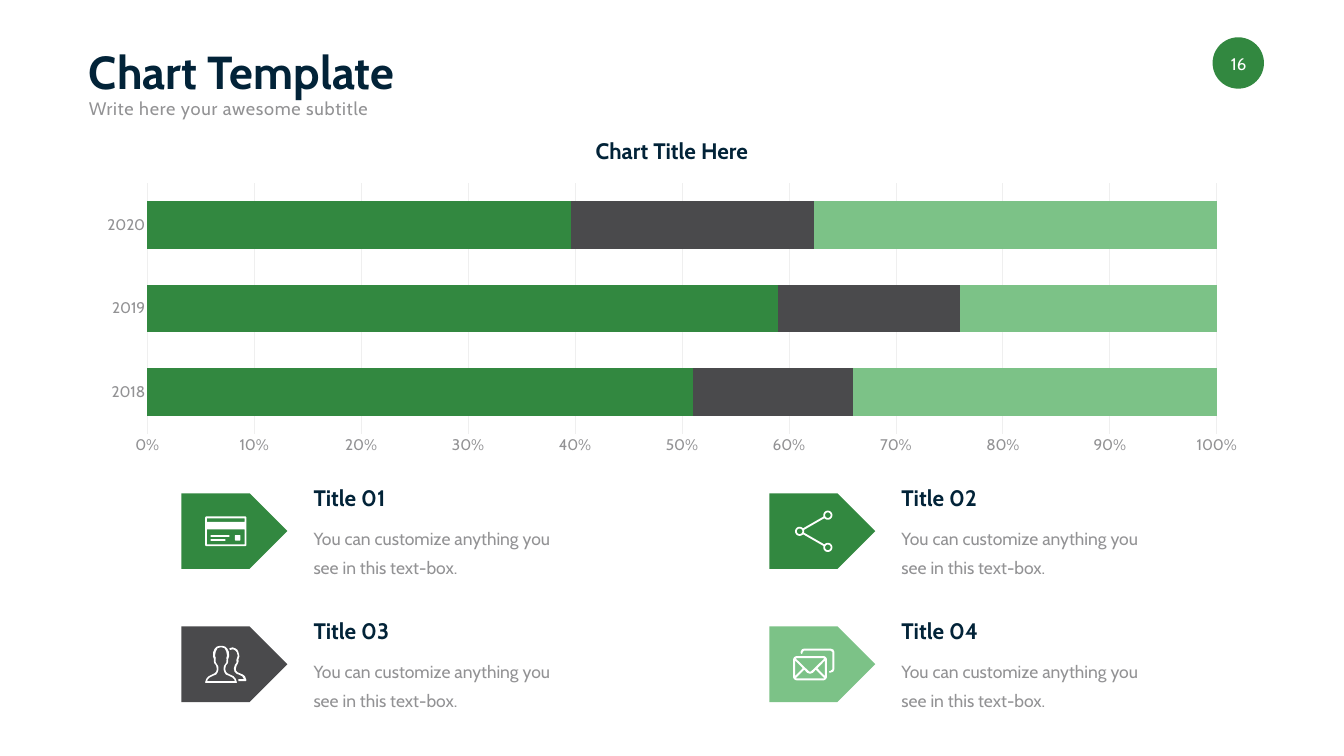
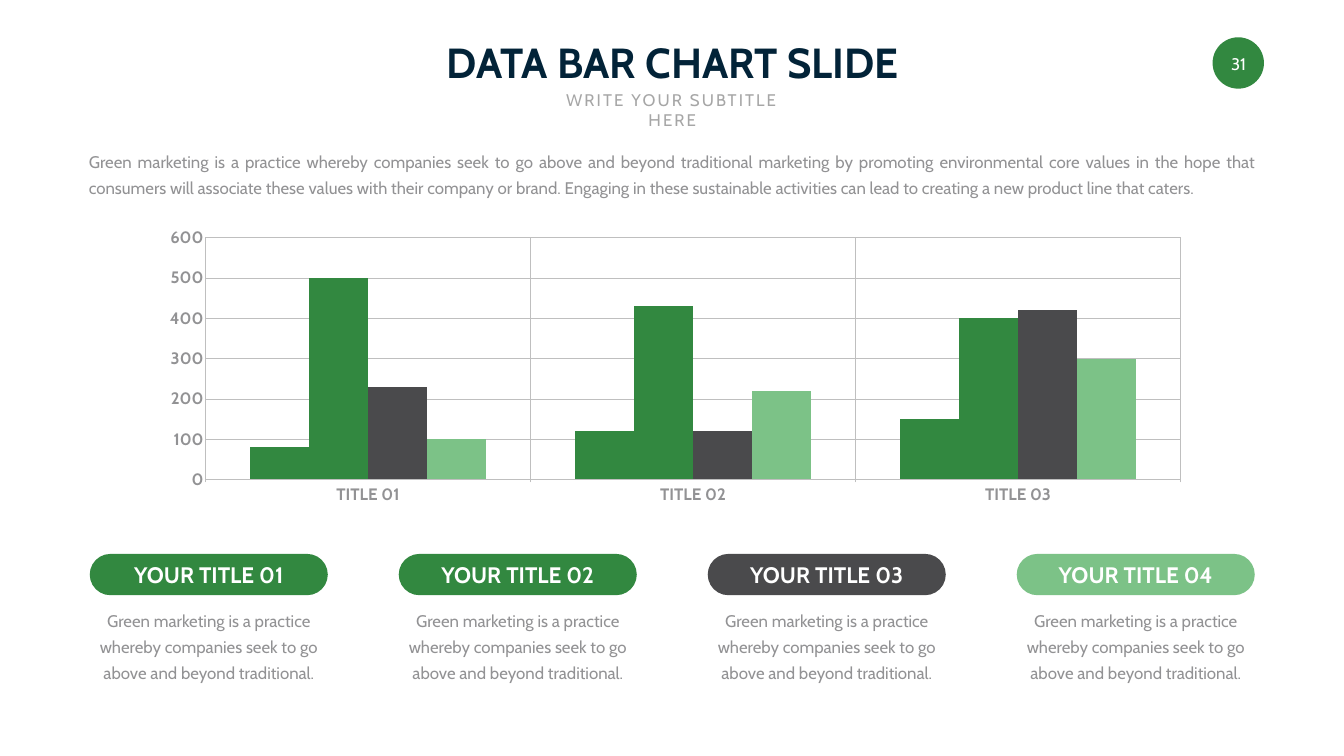
from math import cos, pi, sin

from lxml import etree
from pptx import Presentation
from pptx.chart.data import CategoryChartData
from pptx.dml.color import RGBColor
from pptx.enum.chart import XL_CHART_TYPE, XL_TICK_MARK
from pptx.enum.shapes import MSO_SHAPE
from pptx.enum.text import MSO_ANCHOR, MSO_AUTO_SIZE, PP_ALIGN
from pptx.oxml.ns import qn
from pptx.util import Pt

LEFT, CENTER, JUSTIFY = PP_ALIGN.LEFT, PP_ALIGN.CENTER, PP_ALIGN.JUSTIFY
TOP, MIDDLE, BOTTOM = MSO_ANCHOR.TOP, MSO_ANCHOR.MIDDLE, MSO_ANCHOR.BOTTOM
NO_FIT = MSO_AUTO_SIZE.NONE
ELLIPSE, PILL, ARROW = MSO_SHAPE.OVAL, MSO_SHAPE.ROUNDED_RECTANGLE, MSO_SHAPE.PENTAGON
BAR, COLUMN = XL_CHART_TYPE.BAR_STACKED_100, XL_CHART_TYPE.COLUMN_CLUSTERED
TICK_NONE, TICK_OUT = XL_TICK_MARK.NONE, XL_TICK_MARK.OUTSIDE

# Shared look
FONT = "Cabin"
NAVY, GREY, SUBTLE, WHITE = "022338", "929294", "A6A6A6", "FFFFFF"
GREEN, DARK, LIGHT = "328840", "4A4A4C", "7CC287"
GRID_PALE, GRID_GREY = "EFEFEF", "BFBFBF"
SERIES_COLORS = [GREEN, GREEN, DARK, LIGHT]
SLIDE_W, SLIDE_H = 1919.52, 1080
MARGIN, CONTENT_W = 119.8, 1680

HEADING = dict(size=32, bold=True, color=NAVY)
BODY = dict(size=24, color=GREY)


def rgb(hex_color):
    return RGBColor.from_string(hex_color)


def pts(*values):
    return [Pt(v) for v in values]


def set_font(font, size, color, bold=False):
    for name, value in dict(name=FONT, size=Pt(size), bold=bold).items():
        setattr(font, name, value)
    font.color.rgb = rgb(color)


def write(sp, text, style, align=LEFT, anchor=TOP, leading=None, spacing=None, insets=None):
    tf = sp.text_frame
    frame = dict(word_wrap=True, auto_size=NO_FIT, vertical_anchor=anchor)
    sides = ("margin_left", "margin_top", "margin_right", "margin_bottom")
    frame.update(zip(sides, pts(*(insets or (7.2, 3.6, 7.2, 3.6)))))
    for name, value in frame.items():
        setattr(tf, name, value)
    p = tf.paragraphs[0]
    p.alignment = align
    if leading:
        p.line_spacing = Pt(leading)
    r = p.add_run()
    r.text = text
    set_font(r.font, **style)
    if spacing:
        r.font._element.set("spc", str(spacing * 100))


def add_text(slide, box, text, style, **layout):
    write(slide.shapes.add_textbox(*pts(*box)), text, style, **layout)


def paint(sp, color):
    sp.shadow.inherit = False
    sp.fill.solid()
    sp.fill.fore_color.rgb = rgb(color)
    sp.line.fill.background()
    return sp


def add_block(slide, kind, box, color):
    return paint(slide.shapes.add_shape(kind, *pts(*box)), color)


def new_slide(prs, number, title, box, size, **layout):
    """Slide with its title and the round page number."""
    slide = prs.slides.add_slide(prs.slide_layouts[5])
    badge = add_block(slide, ELLIPSE, (1731.8, 53.3, 73.4, 73.4), GREEN)
    write(badge, number, dict(size=24, color=WHITE), align=CENTER, anchor=MIDDLE,
          insets=(1, 1.5, 0, 0))
    sp = slide.shapes.title
    sp.left, sp.top, sp.width, sp.height = pts(*box)
    write(sp, title, dict(size=size, bold=True, color=NAVY), **layout)
    return slide


# Icons: outlines in points, where an outline inside another cuts a hole
def rect(x, y, w, h):
    return [(x, y), (x + w, y), (x + w, y + h), (x, y + h)]


def arc(cx, cy, radius, start, sweep, steps):
    angles = [start + sweep * i / steps for i in range(steps + 1)]
    return [(cx + radius * cos(a), cy + radius * sin(a)) for a in angles]


def circle(cx, cy, radius):
    return arc(cx, cy, radius, 0, 2 * pi, 24)[:-1]


def round_rect(x, y, w, h, radius):
    corners = [(x + w - radius, y + h - radius), (x + radius, y + h - radius),
               (x + radius, y + radius), (x + w - radius, y + radius)]
    return [pt for i, (cx, cy) in enumerate(corners)
            for pt in arc(cx, cy, radius, i * pi / 2, pi / 2, 5)]


def mirror_x(half, cx):
    """Closed outline from its right half, given as offsets from the axis."""
    return [(cx + d, y) for d, y in half] + [(cx - d, y) for d, y in reversed(half)]


def flip_y(outline, height):
    return [(x, height - y) for x, y in outline]


def card_icon():
    return 59, 42.5, [
        round_rect(0, 0, 59, 42.5, 2), rect(2.5, 2.9, 54, 5), rect(2.5, 18.7, 54, 21.3),
        rect(8, 26.6, 26.6, 2.6), rect(8, 32.3, 21, 2.5), round_rect(42.5, 26.6, 7.9, 7.9, 1)]


def share_icon():
    link = [(11.5, 25.2), (40.3, 8.6), (41.8, 10.8), (13, 27.4)]
    nodes = [(46.8, 6.5), (6.5, 29.5), (46.8, 52.5)]
    rings = [circle(cx, cy, radius) for cx, cy in nodes for radius in (6.5, 4)]
    return 53.3, 59, rings + [link, flip_y(link, 59)]


def people_icon():
    outer = [(2, 0), (6, 1), (9, 4), (11.3, 9), (11.5, 15), (10.3, 18.7), (10.3, 22.5),
             (9.5, 25), (7, 28), (6, 33), (7, 37), (9, 39), (13, 41), (18, 43.5),
             (21, 47), (22.7, 52), (22, 53)]
    inner = [(1.5, 2.3), (5, 3.2), (7.5, 8), (8.6, 14), (7.5, 17.3), (7.9, 19.5),
             (7.5, 23.8), (6, 26), (4, 29), (3.7, 34), (5, 38), (7, 41), (11, 42.5),
             (16, 45), (19, 48), (19.7, 50.4)]
    behind = [(49, 38.9), (46, 37.5), (44, 35), (43.9, 32.4), (45, 28), (46.8, 25.2),
              (47.8, 22), (47.5, 19.4), (49, 15), (47.5, 8.6), (46, 5.5), (43.2, 3.6),
              (39.6, 2.2), (37, 2.6), (34.6, 3.6), (35.3, 5.8), (39.6, 5), (42, 5.8),
              (44, 7.5), (45.4, 9.4), (46.5, 14), (45.4, 18), (44.6, 20), (44.9, 23),
              (44.6, 24.5), (42.5, 27), (41, 32.4), (42, 37), (45, 40), (48.2, 41),
              (53, 43.5), (55.4, 47.5), (47.5, 47.5), (47.5, 50.4), (58, 50.4),
              (59, 49), (57, 43.5), (54, 41)]
    return 59, 53, [mirror_x(outer, 22.7), mirror_x(inner, 22.7), behind]


def mail_icon():
    side = [(21.2, 17.3), (10.4, 28.2), (21.2, 39.4)]
    flap = [(18.3, 13.7), (20.4, 14.4), (1.8, 32.4), (0.5, 33)]
    base = [(0.5, 36), (4.2, 34.6), (8.2, 30.2), (20.4, 42.5)]
    behind = [(10.8, 6.5), (10.8, 5), (12.5, 1.3), (15.8, 0), (53.3, 0), (57.5, 1.6),
              (59, 5), (59, 29.5), (57.5, 33), (53.3, 34.6), (52.2, 34.6), (51.1, 33.5),
              (52.2, 32.2), (53.3, 32.2), (56.2, 29.5), (56.2, 5), (53.3, 2.9),
              (15.8, 2.9), (13.7, 5), (13.7, 6.5), (12.2, 7.9)]
    sides = [[(24.2 + sign * d, y) for d, y in side] for sign in (1, -1)]
    return 59, 45.5, [round_rect(0, 10.8, 48.4, 34.7, 5.5), *sides,
                      mirror_x(flap, 24.2), mirror_x(base, 24.2), behind]


def add_icon(slide, cx, cy, icon):
    width, height, outlines = icon
    builder = None
    for outline in outlines:
        points = [(x * 100, y * 100) for x, y in outline]
        if builder is None:
            builder = slide.shapes.build_freeform(*points[0], scale=Pt(1) / 100)
        else:
            builder.move_to(*points[0])
        builder.add_line_segments(points[1:], close=True)
    paint(builder.convert_to_shape(*pts(cx - width / 2, cy - height / 2)), WHITE)


# Charts
def style_axis(axis, size, bold, line, grid, tick):
    axis.major_tick_mark, axis.minor_tick_mark = tick, TICK_NONE
    set_font(axis.tick_labels.font, size, GREY, bold)
    axis.has_major_gridlines = bool(grid)
    lines = [(axis.format.line, line)]
    if grid:
        lines.append((axis.major_gridlines.format.line, grid))
    for ln, color in lines:
        if color:
            ln.color.rgb = rgb(color)
            ln.width = Pt(0.75)
        else:
            ln.fill.background()


def add_bars(slide, kind, box, categories, rows, gap, overlap, size, color):
    data = CategoryChartData()
    data.categories = categories
    for i, values in enumerate(rows, 1):
        data.add_series(f"Series {i}", values)
    chart = slide.shapes.add_chart(kind, *pts(*box), data).chart
    chart.has_title = chart.has_legend = False
    set_font(chart.font, size, color)
    plot = chart.plots[0]
    plot.gap_width, plot.overlap, plot.vary_by_categories = gap, overlap, False
    for series, fill in zip(plot.series, SERIES_COLORS):
        series.format.fill.solid()
        series.format.fill.fore_color.rgb = rgb(fill)
        series.invert_if_negative = False
    return chart


def set_plot_area(chart, x, y, w, h):
    """Fix the inner plot area as fractions of the chart."""
    area = chart._chartSpace.chart.plotArea
    for old in area.findall(qn("c:layout")):
        area.remove(old)
    layout = etree.Element(qn("c:layout"))
    area.insert(0, layout)
    manual = etree.SubElement(layout, qn("c:manualLayout"))
    settings = dict(layoutTarget="inner", xMode="edge", yMode="edge", x=x, y=y, w=w, h=h)
    for name, value in settings.items():
        etree.SubElement(manual, qn("c:" + name)).set("val", str(value))


# Regions
def feature(slide, x, y, title, color, icon):
    """Arrow with an icon, beside a heading and a line of text."""
    add_block(slide, ARROW, (x, y + 17, 151.2, 108), color)
    add_icon(slide, x + 63.3, y + 71.3, icon)
    add_text(slide, (x + 181.5, y, 140, 46), title, HEADING, anchor=BOTTOM)
    add_text(slide, (x + 181.5, y + 52.3, 380, 90),
             "You can customize anything you see in this text-box.",
             dict(size=25, color=GREY), leading=41, insets=(7.2, 3.6, 7.2, 7.2))


def pill_column(slide, x, y, title, color):
    """Pill heading over a centred text."""
    width = 340
    pill = add_block(slide, PILL, (x, y, width, 59), color)
    pill.adjustments[0] = 0.5
    write(pill, title, dict(size=32, bold=True, color=WHITE), align=CENTER, anchor=MIDDLE)
    add_text(slide, (x, y + 69, width, 115),
             "Green marketing is a practice whereby companies seek to go above and "
             "beyond traditional.", BODY, align=CENTER, leading=37)


# Slides
def stacked_bar_slide(prs):
    slide = new_slide(prs, "16", "Chart Template", (MARGIN, 38, 549.5, 103), 66, leading=100)
    add_text(slide, (MARGIN, 135.4, 460, 39), "Write here your awesome subtitle",
             dict(size=26, color=GREY), anchor=MIDDLE, spacing=1)
    chart = add_bars(slide, BAR, (MARGIN, 254, CONTENT_W, 402.5), ["2018", "2019", "2020"],
                     [(33, 21, 26), (18, 38, 14), (15, 17, 23), (34, 24, 38)],
                     75, 100, 22, GREY)
    style_axis(chart.category_axis, 22, False, GRID_PALE, None, TICK_NONE)
    style_axis(chart.value_axis, 22, False, None, GRID_PALE, TICK_NONE)
    labels = chart.value_axis.tick_labels
    labels.number_format, labels.number_format_is_linked = "0%", False
    add_text(slide, (820, 192.2, 279, 46), "Chart Title Here", HEADING,
             align=CENTER, anchor=BOTTOM)
    features = [(GREEN, card_icon()), (GREEN, share_icon()),
                (DARK, people_icon()), (LIGHT, mail_icon())]
    for i, (color, icon) in enumerate(features):
        row, col = divmod(i, 2)
        feature(slide, 259.2 + col * 839.7, 687.7 + row * 190.2, f"Title 0{i + 1}", color, icon)


def column_chart_slide(prs):
    slide = new_slide(prs, "31", "DATA BAR CHART SLIDE", (601.5, 48.2, 718, 80), 60,
                      align=CENTER)
    add_text(slide, (764.6, 124.2, 391, 65), "WRITE YOUR SUBTITLE HERE",
             dict(size=24, color=SUBTLE), align=CENTER, spacing=3)
    add_text(slide, (MARGIN, 204.5, CONTENT_W, 78),
             "Green marketing is a practice whereby companies seek to go above and beyond "
             "traditional marketing by promoting environmental core values in the hope that "
             "consumers will associate these values with their company or brand. Engaging in "
             "these sustainable activities can lead to creating a new product line that caters.",
             BODY, align=JUSTIFY, leading=37)
    chart = add_bars(slide, COLUMN, (200.6, 325, 1522, 396.7),
                     ["TITLE 01", "TITLE 02", "TITLE 03"],
                     [(80, 120, 150), (500, 430, 400), (230, 120, 420), (100, 220, 300)],
                     150, 0, 18, "C8C8CA")
    style_axis(chart.category_axis, 24, True, GRID_GREY, GRID_GREY, TICK_OUT)
    style_axis(chart.value_axis, 24, True, GRID_GREY, GRID_GREY, TICK_NONE)
    set_plot_area(chart, 0.061, 0.02, 0.915, 0.886)
    for i, color in enumerate(SERIES_COLORS):
        pill_column(slide, 128.2 + i * 441.3, 791.3, f"YOUR TITLE 0{i + 1}", color)


def main():
    prs = Presentation()
    prs.slide_width, prs.slide_height = pts(SLIDE_W, SLIDE_H)
    stacked_bar_slide(prs)
    column_chart_slide(prs)
    prs.save("out.pptx")


if __name__ == "__main__":
    main()
